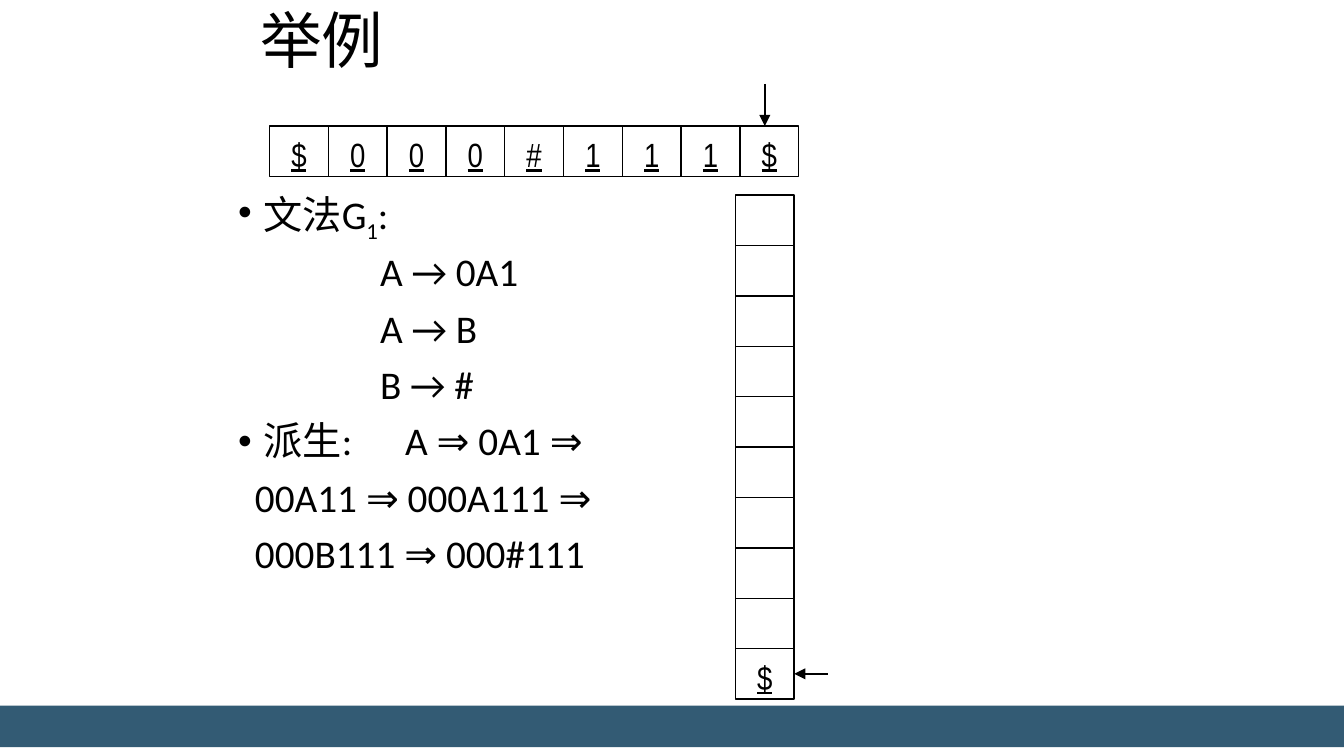
from dataclasses import dataclass

from lxml import etree
from pptx import Presentation
from pptx.dml.color import RGBColor
from pptx.enum.shapes import MSO_CONNECTOR, MSO_SHAPE
from pptx.enum.text import MSO_ANCHOR, PP_ALIGN
from pptx.oxml.ns import qn
from pptx.util import Pt

RECTANGLE = MSO_SHAPE.RECTANGLE
STRAIGHT = MSO_CONNECTOR.STRAIGHT
TOP = MSO_ANCHOR.TOP
LEFT = PP_ALIGN.LEFT
CENTER = PP_ALIGN.CENTER


@dataclass(frozen=True)
class Theme:
    ink: RGBColor = RGBColor(0x00, 0x00, 0x00)
    footer: RGBColor = RGBColor(0x33, 0x5B, 0x74)
    text_font: str = "Calibri"
    cell_font: str = "Arial Narrow"
    title_size: float = 33
    body_size: float = 21
    cell_size: float = 18
    line_width: float = 0.75


@dataclass(frozen=True)
class Line:
    spans: tuple[str, ...]
    indent: float = 0
    bullet: bool = False


@dataclass(frozen=True)
class CellStrip:
    left: float
    top: float
    symbols: tuple[str, ...]
    vertical: bool = False


@dataclass(frozen=True)
class Arrow:
    start: tuple[float, float]
    end: tuple[float, float]


THEME = Theme()
CELL_WIDTH, CELL_HEIGHT = 31.5, 27
HANGING = 13.5
DERIVATION_TAB = 89.5

LINES = (
    Line(("文法G", "1", ":"), bullet=True),
    Line(("A → 0A1",), indent=76),
    Line(("A → B",), indent=76),
    Line(("B → #",), indent=76),
    Line(("派生:\tA ⇒ 0A1 ⇒",), bullet=True),
    Line(("00A11 ⇒ 000A111 ⇒",), indent=9),
    Line(("000B111 ⇒ 000#111",), indent=9),
)
STRIPS = (
    CellStrip(144.4, 67.5, tuple("$000#111$")),
    CellStrip(394, 104.5, ("",) * 9 + ("$",), vertical=True),
)
ARROWS = (
    Arrow((409.75, 45), (409.75, 67.5)),
    Arrow((443.5, 361), (425.5, 361)),
)


def add_span(para, text: str, *, font: str, size: float, underline: bool = False, subscript: bool = False) -> None:
    span = para.add_run()
    span.text = text
    span.font.name = font
    span.font.size = Pt(size)
    span.font.color.rgb = THEME.ink
    if underline:
        span.font.underline = True
    if subscript:
        span.font._element.set("baseline", "-25000")


def set_frame(frame, *, side: float, top: float) -> None:
    frame.word_wrap = True
    frame.vertical_anchor = TOP
    frame.margin_left = frame.margin_right = Pt(side)
    frame.margin_top = frame.margin_bottom = Pt(top)


def add_box(page, left: float, top: float, width: float, height: float):
    box = page.shapes.add_textbox(Pt(left), Pt(top), Pt(width), Pt(height))
    set_frame(box.text_frame, side=5.4, top=2.7)
    return box.text_frame


def format_line(para, line: Line) -> None:
    properties = para._p.get_or_add_pPr()
    properties.set("marL", str(Pt(HANGING if line.bullet else line.indent)))
    properties.set("indent", str(Pt(-HANGING if line.bullet else 0)))
    if line.bullet:
        etree.SubElement(properties, qn("a:buFont")).set("typeface", "Arial")
        etree.SubElement(properties, qn("a:buChar")).set("char", "•")
        tabs = etree.SubElement(properties, qn("a:tabLst"))
        tab = etree.SubElement(tabs, qn("a:tab"))
        tab.set("pos", str(Pt(DERIVATION_TAB)))
        tab.set("algn", "l")
    else:
        etree.SubElement(properties, qn("a:buNone"))
    para.alignment = LEFT
    para.line_spacing = 0.9


def add_title(page, text: str) -> None:
    para = add_box(page, 134, 3, 459, 67.5).paragraphs[0]
    para.line_spacing = 0.9
    add_span(para, text, font=THEME.text_font, size=THEME.title_size)


def add_body(page, lines: tuple[Line, ...]) -> None:
    frame = add_box(page, 122.2, 99.5, 323.5, 274.5)
    for number, line in enumerate(lines):
        para = frame.add_paragraph() if number else frame.paragraphs[0]
        format_line(para, line)
        if number:
            para.space_before = Pt(7.5)
        for position, text in enumerate(line.spans):
            add_span(para, text, font=THEME.text_font, size=THEME.body_size, subscript=position == 1)


def add_cell(page, left: float, top: float, symbol: str) -> None:
    cell = page.shapes.add_shape(RECTANGLE, Pt(left), Pt(top), Pt(CELL_WIDTH), Pt(CELL_HEIGHT))
    cell.shadow.inherit = False
    cell.fill.background()
    cell.line.color.rgb = THEME.ink
    cell.line.width = Pt(THEME.line_width)
    if symbol:
        set_frame(cell.text_frame, side=0, top=4.5)
        para = cell.text_frame.paragraphs[0]
        para.alignment = CENTER
        add_span(para, symbol, font=THEME.cell_font, size=THEME.cell_size, underline=True)


def add_strip(page, strip: CellStrip) -> None:
    step_x, step_y = (0, CELL_HEIGHT) if strip.vertical else (CELL_WIDTH, 0)
    for number, symbol in enumerate(strip.symbols):
        add_cell(page, strip.left + number * step_x, strip.top + number * step_y, symbol)


def add_arrow(page, arrow: Arrow) -> None:
    connector = page.shapes.add_connector(STRAIGHT, *map(Pt, arrow.start + arrow.end))
    connector.line.color.rgb = THEME.ink
    connector.line.width = Pt(THEME.line_width)
    etree.SubElement(connector.line._get_or_add_ln(), qn("a:tailEnd")).set("type", "triangle")
    etree.SubElement(connector._element.spPr, qn("a:effectLst"))


def add_footer(page) -> None:
    band = page.shapes.add_shape(RECTANGLE, Pt(0), Pt(378), Pt(720), Pt(22.3))
    band.shadow.inherit = False
    band.fill.solid()
    band.fill.fore_color.rgb = THEME.footer
    band.line.fill.background()


def main() -> None:
    deck = Presentation()
    deck.slide_width, deck.slide_height = Pt(720), Pt(405)
    page = deck.slides.add_slide(deck.slide_layouts[6])
    add_title(page, "举例")
    add_body(page, LINES)
    for strip in STRIPS:
        add_strip(page, strip)
    for arrow in ARROWS:
        add_arrow(page, arrow)
    add_footer(page)
    deck.save("out.pptx")


if __name__ == "__main__":
    main()
